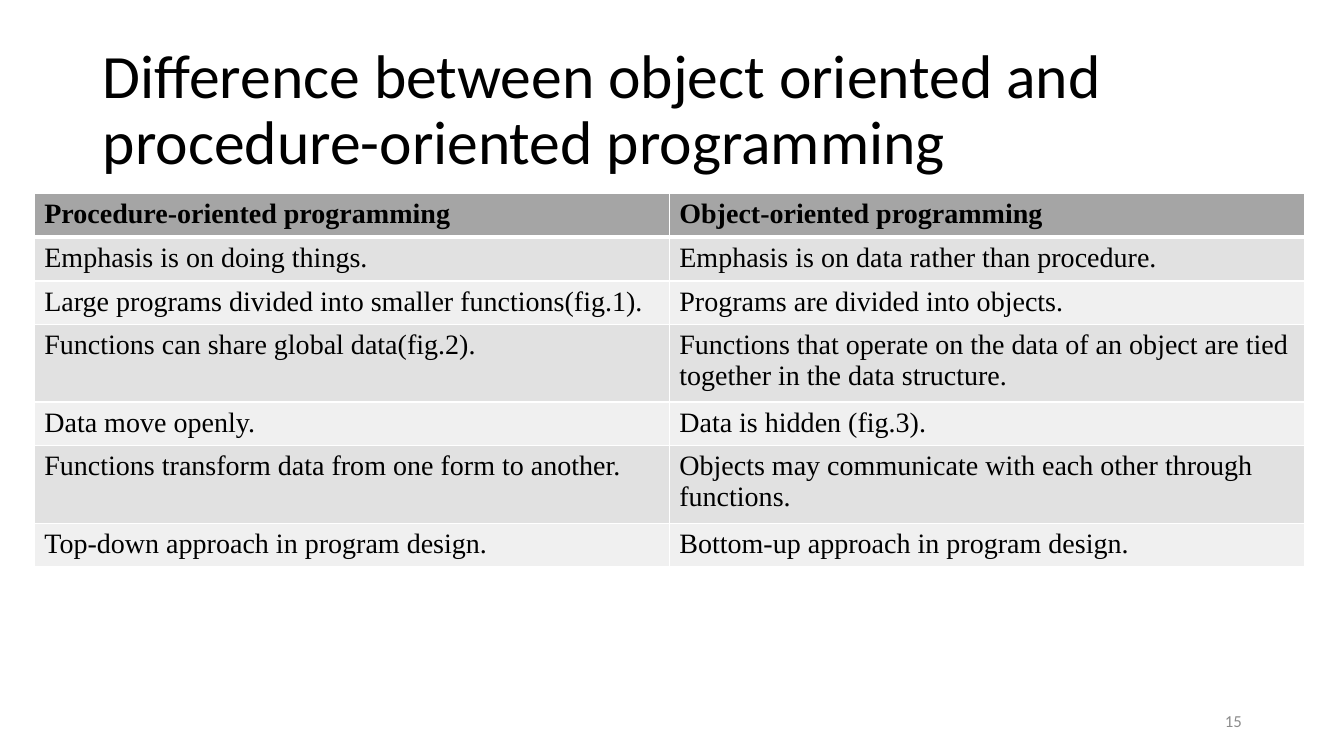
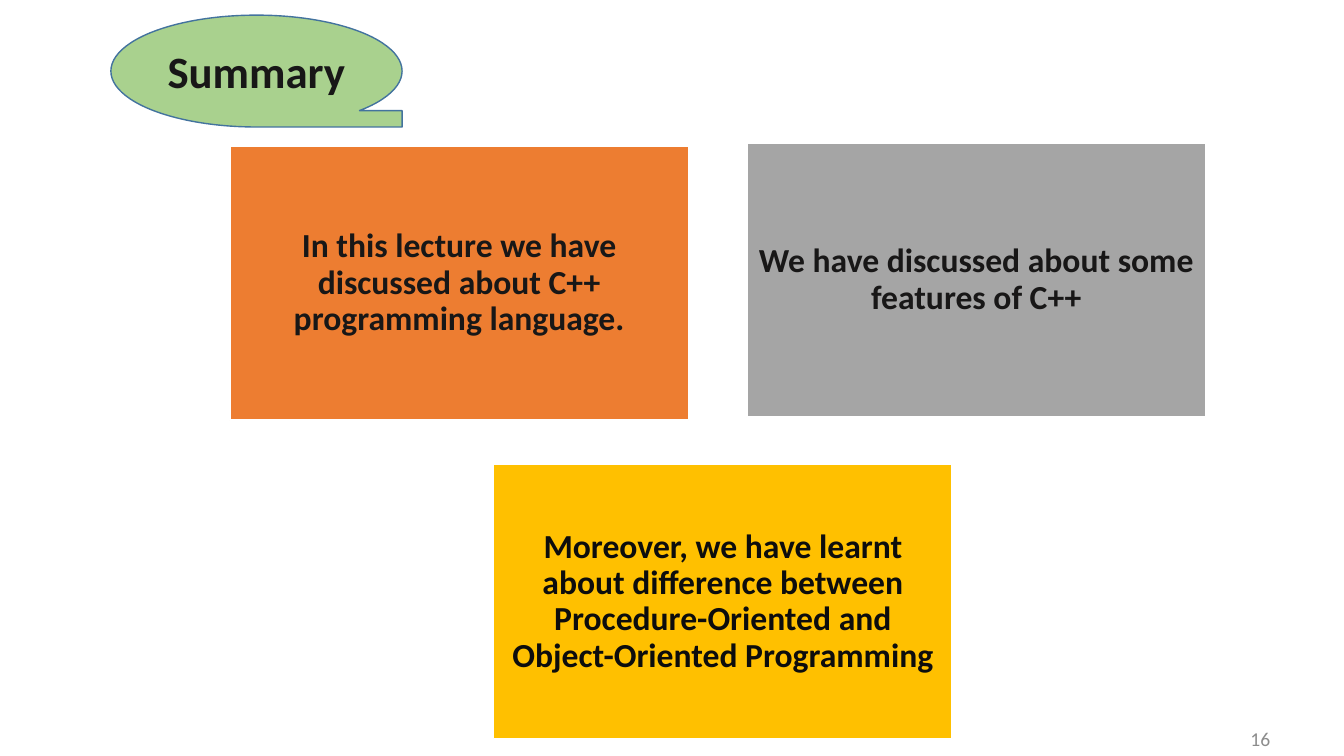
from collections import namedtuple
from dataclasses import dataclass

import lxml.etree
import pptx
import pptx.dml.color
import pptx.enum.shapes
import pptx.enum.text
import pptx.oxml.ns
import pptx.util

ANCHOR = pptx.enum.text.MSO_ANCHOR
ALIGN = pptx.enum.text.PP_ALIGN
SHAPE = pptx.enum.shapes.MSO_SHAPE
Box = namedtuple("Box", "left top width height")


@dataclass(frozen=True)
class Theme:
    """Colours, fonts and type sizes shared by the slides."""

    sans: str = "Calibri"
    serif: str = "Times New Roman"
    black: str = "000000"
    white: str = "FFFFFF"
    ink: str = "181717"
    deep_ink: str = "0D0D0D"
    page_grey: str = "8C8C8C"
    grey: str = "A5A5A5"
    bands: tuple = ("E1E1E1", "F0F0F0")
    green: str = "A9D18E"
    outline: str = "43739E"
    orange: str = "ED7D31"
    gold: str = "FFC000"
    title_size: int = 44
    heading_size: int = 32
    card_size: int = 24
    table_size: int = 20
    spacing: float = 0.9


THEME = Theme()
WIDTH, HEIGHT = pptx.util.Inches(13.33), pptx.util.Inches(7.5)
COLUMNS = ROWS = 100

COMPARISON = (
    ("Procedure-oriented programming", "Object-oriented programming"),
    ("Emphasis is on doing things.", "Emphasis is on data rather than procedure."),
    ("Large programs divided into smaller functions(fig.1).", "Programs are divided into objects."),
    ("Functions can share global data(fig.2).",
     "Functions that operate on the data of an object are tied together in the data structure."),
    ("Data move openly.", "Data is hidden (fig.3)."),
    ("Functions transform data from one form to another.",
     "Objects may communicate with each other through functions."),
    ("Top-down approach in program design.", "Bottom-up approach in program design."),
)


def place(box):
    """Turn a box in grid columns and rows into slide lengths."""
    return Box(int(box.left * WIDTH / COLUMNS), int(box.top * HEIGHT / ROWS),
               int(box.width * WIDTH / COLUMNS), int(box.height * HEIGHT / ROWS))


def assign(target, values):
    """Set each named attribute on the target."""
    for name, value in values.items():
        setattr(target, name, value)


def rgb(colour):
    """Make a colour from its hex digits."""
    return pptx.dml.color.RGBColor.from_string(colour)


def write(frame, words, colour, font, align=ALIGN.LEFT, spacing=1.0):
    """Fill a text frame with one formatted paragraph."""
    frame.text = words
    paragraph = frame.paragraphs[0]
    assign(paragraph, {"alignment": align, "line_spacing": spacing})
    run = paragraph.runs[0]
    assign(run.font, font)
    run.font.color.rgb = rgb(colour)


def sans(size, bold=False):
    """Give the format values of the sans font."""
    return {"name": THEME.sans, "size": pptx.util.Pt(size), "bold": bold}


def add_title(slide, box, words):
    """Place the title placeholder in the box."""
    title = slide.shapes.title
    assign(title, place(box)._asdict())
    assign(title.text_frame, {"word_wrap": True, "vertical_anchor": ANCHOR.MIDDLE,
                              "auto_size": pptx.enum.text.MSO_AUTO_SIZE.NONE})
    write(title.text_frame, words, THEME.black, sans(THEME.title_size), spacing=THEME.spacing)


def add_page_number(slide, box, number, size):
    """Write the page number at the right of the box."""
    frame = slide.shapes.add_textbox(*place(box)).text_frame
    assign(frame, {"word_wrap": True, "vertical_anchor": ANCHOR.MIDDLE,
                   "margin_top": 0, "margin_bottom": 0})
    write(frame, number, THEME.page_grey, sans(size), ALIGN.RIGHT)


def add_borders(cell, bottom):
    """Draw white borders with the given bottom width in points."""
    properties = cell._tc.get_or_add_tcPr()
    for side, width in {"L": 1, "R": 1, "T": 1, "B": bottom}.items():
        line = lxml.etree.SubElement(properties, pptx.oxml.ns.qn(f"a:ln{side}"),
                                     w=str(pptx.util.Pt(width)))
        fill = lxml.etree.SubElement(line, pptx.oxml.ns.qn("a:solidFill"))
        lxml.etree.SubElement(fill, pptx.oxml.ns.qn("a:srgbClr"), val=THEME.white)


def add_comparison(slide, box, rows):
    """Build the banded comparison table in the box."""
    table = slide.shapes.add_table(len(rows), len(rows[0]), *place(box)).table
    for row, texts in enumerate(rows):
        header = row == 0
        font = {"name": THEME.serif, "size": pptx.util.Pt(THEME.table_size), "bold": header}
        for column, words in enumerate(texts):
            cell = table.cell(row, column)
            add_borders(cell, 3 if header or row == 0 else 1)
            cell.fill.solid()
            cell.fill.fore_color.rgb = rgb(THEME.grey if header else THEME.bands[(row - 1) % 2])
            write(cell.text_frame, words, THEME.black, font)


def add_panel(slide, box, kind, words, fill, line, colour, size, spacing=1.0):
    """Draw a filled shape with centred bold text."""
    panel = slide.shapes.add_shape(kind, *place(box))
    panel.shadow.inherit = False
    panel.fill.solid()
    panel.fill.fore_color.rgb = rgb(fill)
    panel.line.color.rgb = rgb(line)
    panel.line.width = pptx.util.Pt(1)
    margin = pptx.util.Inches(0.1)
    assign(panel.text_frame, {"word_wrap": True, "vertical_anchor": ANCHOR.MIDDLE,
                              "margin_left": margin, "margin_right": margin})
    write(panel.text_frame, words, colour, sans(size, True), ALIGN.CENTER, spacing)


def add_cards(slide, box):
    """Arrange the three summary cards within the box."""
    width, height = 0.47 * box.width, 0.46 * box.height
    right, bottom = box.width - width, box.height - height
    cards = (
        (0, 0.4, THEME.orange, THEME.ink,
         "In this lecture we have discussed about C++ programming language."),
        (right, 0, THEME.grey, THEME.ink, "We have discussed about some features of C++"),
        (0.51 * right, bottom, THEME.gold, THEME.deep_ink,
         "Moreover, we have learnt about difference between Procedure-Oriented "
         "and Object-Oriented Programming"),
    )
    for left, top, fill, colour, words in cards:
        add_panel(slide, Box(box.left + left, box.top + top, width, height), SHAPE.RECTANGLE,
                  words, fill, THEME.white, colour, THEME.card_size, THEME.spacing)


def build_comparison(deck):
    """Add the slide that compares the two styles."""
    slide = deck.slides.add_slide(deck.slide_layouts[5])
    add_title(slide, Box(6.9, 5.07, 86.25, 19.33),
              "Difference between object oriented and procedure-oriented programming")
    add_page_number(slide, Box(70.65, 92.67, 22.5, 5.33), "15", 12)
    add_comparison(slide, Box(2.55, 25.6, 94.5, 38.27), COMPARISON)


def build_summary(deck):
    """Add the summary slide."""
    slide = deck.slides.add_slide(deck.slide_layouts[6])
    add_page_number(slide, Box(78.45, 95.67, 16.8, 4), "16", 14)
    add_panel(slide, Box(8.25, 2, 21.67, 14.8), SHAPE.FLOWCHART_SEQUENTIAL_ACCESS_STORAGE,
              "Summary", THEME.green, THEME.outline, THEME.ink, THEME.heading_size)
    add_cards(slide, Box(17.1, 18.93, 72.6, 78.8))


def main():
    """Build and save the deck."""
    deck = pptx.Presentation()
    assign(deck, {"slide_width": WIDTH, "slide_height": HEIGHT})
    build_comparison(deck)
    build_summary(deck)
    deck.save("out.pptx")


if __name__ == "__main__":
    main()
